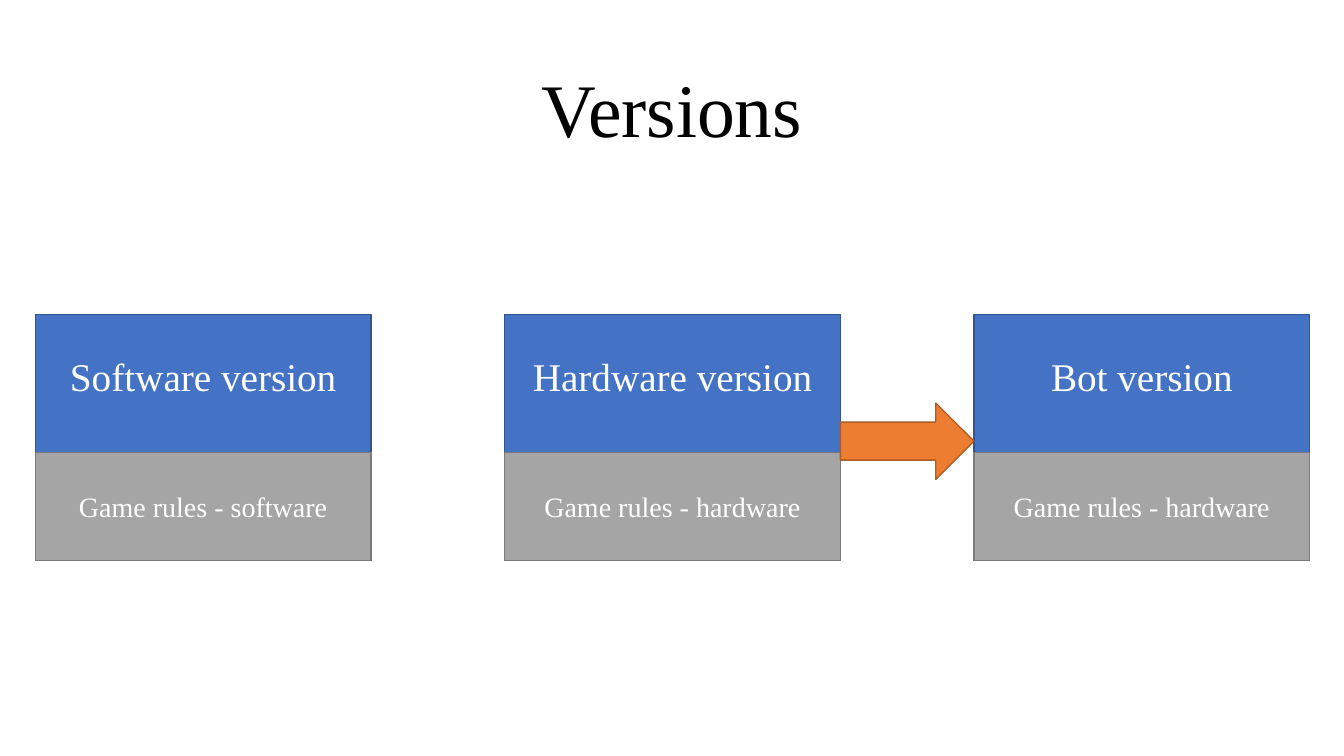
from pptx import Presentation, util as u
from pptx.dml.color import RGBColor
from pptx.enum import shapes, text

FONT = "Times New Roman"
INK = {"blue": "4472C4", "navy": "325491", "gray": "A5A5A5", "slate": "7A7A7A",
       "orange": "ED7D31", "rust": "AF5C24", "white": "FFFFFF", "black": "000000"}
KIND = shapes.MSO_SHAPE
CARDS = [("Software version", "Game rules - software"),
         ("Hardware version", "Game rules - hardware"),
         ("Bot version", "Game rules - hardware")]


def style(frame, words, size, ink):
    """Write centred words in the slide's font."""
    frame.text = words
    frame.word_wrap = True
    frame.vertical_anchor = text.MSO_ANCHOR.MIDDLE
    line = frame.paragraphs[0]
    line.alignment = text.PP_ALIGN.CENTER
    line.font.name, line.font.size = FONT, u.Pt(size)
    line.font.color.rgb = RGBColor.from_string(INK[ink])


def block(slide, kind, box, fill, edge):
    """Add a filled, outlined shape in a box of inches."""
    shape = slide.shapes.add_shape(kind, *map(u.Inches, box))
    shape.shadow.inherit = False
    shape.fill.solid()
    shape.fill.fore_color.rgb = RGBColor.from_string(INK[fill])
    shape.line.color.rgb = RGBColor.from_string(INK[edge])
    shape.line.width = u.Pt(1)
    return shape


def heading(slide, box):
    """Place and format the title."""
    title = slide.shapes.title
    title.left, title.top, title.width, title.height = map(u.Inches, box)
    style(title.text_frame, "Versions", 54, "black")
    title.text_frame.paragraphs[0].line_spacing = 0.9


def card(slide, box, name, rules):
    """Draw a version with its rules across the lower part."""
    x, y, w, h = box
    body = block(slide, KIND.RECTANGLE, box, "blue", "navy")
    style(body.text_frame, name, 28, "white")
    body.text_frame.margin_bottom = u.Inches(0.52 * h)
    low = 0.44 * h
    foot = block(slide, KIND.RECTANGLE, (x, y + h - low, w, low), "gray", "slate")
    style(foot.text_frame, rules, 20, "white")


def row(slide, box):
    """Spread the cards evenly and join the last two with an arrow."""
    x, y, w, h = box
    wide = 0.2635 * w
    step = (w - wide) / (len(CARDS) - 1)
    for i, (name, rules) in enumerate(CARDS):
        card(slide, (x + i * step, y, wide, h), name, rules)
    gap = (x + step + wide, y + 0.36 * h, step - wide, 0.31 * h)
    block(slide, KIND.RIGHT_ARROW, gap, "orange", "rust")


def main():
    """Build and save the slide."""
    deck = Presentation()
    wide, high = 13.33, 7.5
    deck.slide_width, deck.slide_height = u.Inches(wide), u.Inches(high)
    slide = deck.slides.add_slide(deck.slide_layouts[5])
    heading(slide, (0.92, 0.4, wide - 2 * 0.92, 1.45))
    row(slide, (0.35, 3.12, 12.64, 2.44))
    deck.save("out.pptx")


main()
